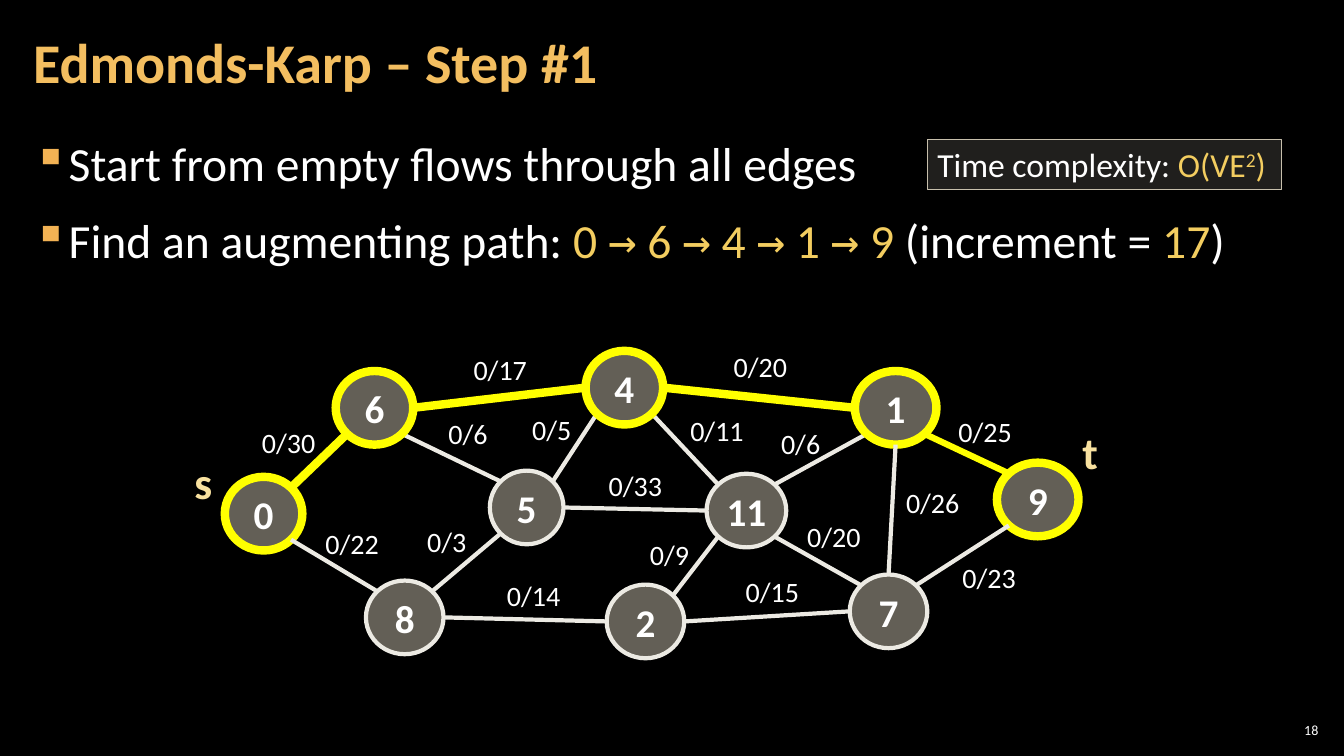
from math import cos, sin, radians
from lxml.etree import SubElement
from pptx import Presentation
from pptx.dml.color import RGBColor
from pptx.enum.shapes import MSO_CONNECTOR, MSO_SHAPE
from pptx.enum.text import MSO_ANCHOR, PP_ALIGN
from pptx.oxml.ns import qn
from pptx.util import Pt

HUES = {"back": "000000", "white": "FFFFFF", "title": "F3BE60", "bullet": "F2B254",
        "gold": "F3CD60", "pale": "F8E19F", "path": "FFFF00", "edge": "ECEAE3",
        "node": "C7BFAC", "box": "D9D5C7"}
FONT, MONO = "Calibri", "DejaVu Sans Mono"

TITLE = "Edmonds-Karp – Step #1"
PATH = ["0", "6", "4", "1", "9"]
ROUTE = [("0 ", "gold")]
for stop in PATH[1:]:
    tail = "" if stop == PATH[-1] else " "
    ROUTE += [("→", "gold", MONO), (f" {stop}{tail}", "gold")]
LINES = [
    [("Start from empty flows through all edges", "white")],
    [("Find an augmenting path: ", "white"), *ROUTE,
     (" (increment = ", "white"), ("17", "gold"), (")", "white")],
]
COST = [("Time complexity: ", "white"), ("O(VE", "gold"),
        ("2", "gold", FONT, 30000), (")", "gold")]

HIGH = 52.6
NODES = {
    "11": (504.7, 338.4, 56.9), "1": (610.6, 265, 58.3), "4": (418.3, 250.6, 55.4),
    "5": (349.9, 336.2, 52.6), "8": (261.4, 414.7, 55.4), "2": (433.4, 417.6, 55.4),
    "7": (607, 410.4, 55.4), "6": (239.8, 265, 55.4), "0": (160.6, 340.6, 55.4),
    "9": (712.1, 330.5, 58.3),
}
SITES = {"E": 0, "SE": 45, "S": 90, "SW": 135, "W": 180, "NW": 225, "N": 270, "NE": 315}
UNDER = [
    ("11", "NE", "1", "SW", "0/6", 550.8, 301),
    ("4", "E", "1", "W", "0/20", 517, 246.2),
    ("11", "NW", "4", "SE", "0/11", 486, 291.6),
    ("5", "E", "11", "W", "0/33", 427.7, 331.2),
    ("4", "SW", "5", "NE", "0/5", 373, 290.9),
    ("6", "E", "4", "W", "0/17", 331.2, 248.4),
    ("5", "NW", "6", "SE", "0/6", 313.2, 293.8),
    ("11", "SE", "7", "NW", "0/20", 569.5, 367.2),
    ("2", "W", "8", "E", "0/14", 355, 409.7),
    ("5", "SW", "8", "NE", "0/3", 298.1, 370.8),
    ("2", "NE", "11", "SW", "0/9", 457.2, 380.2),
    ("0", "NE", "6", "SW", "0/30", 180, 300.2),
]
OVER = [
    ("7", "N", "1", "S", "0/26", 640.1, 343.4),
    ("7", "W", "2", "E", "0/15", 525.6, 406.8),
    ("0", "SE", "8", "NW", "0/22", 225.4, 372.2),
    ("9", "NW", "1", "SE", "0/25", 677.5, 292.3),
    ("9", "SW", "7", "NE", "0/23", 680.4, 396.7),
]
ENDS = [("s", 131.8, 321.1, 27.4), ("t", 766.1, 299.5, 25.9)]

deck = Presentation()
deck.slide_width, deck.slide_height = Pt(960), Pt(540)
slide = deck.slides.add_slide(deck.slide_layouts[6])


def tint(name):
    return RGBColor.from_string(HUES[name])


def paint(fill, name, alpha=None):
    fill.solid()
    fill.fore_color.rgb = tint(name)
    if alpha:
        color = fill._xPr.find(qn("a:solidFill"))[0]
        SubElement(color, qn("a:alpha")).set("val", str(alpha * 1000))


def write(para, runs, size, bold=False):
    for text, hue, *more in runs:
        run = para.add_run()
        run.text = text
        run.font.size, run.font.bold = Pt(size), bold
        run.font.name = more[0] if more else FONT
        run.font.color.rgb = tint(hue)
        if len(more) > 1:
            run.font._element.set("baseline", str(more[1]))


def setup(shape, wrap, pad, anchor=MSO_ANCHOR.TOP):
    frame = shape.text_frame
    frame.word_wrap, frame.vertical_anchor = wrap, anchor
    frame.margin_left = frame.margin_right = Pt(pad[0])
    frame.margin_top = frame.margin_bottom = Pt(pad[1])
    return frame


def place(home, box, wrap=False, pad=(7.2, 3.6), anchor=MSO_ANCHOR.TOP):
    return setup(home.add_textbox(*map(Pt, box)), wrap, pad, anchor)


def solid(home, kind, box, fill, alpha, line, width):
    shape = home.add_shape(kind, *map(Pt, box))
    shape.shadow.inherit = False
    paint(shape.fill, fill, alpha)
    paint(shape.line.fill, line)
    shape.line.width = Pt(width)
    return shape


def site(name, side):
    left, top, wide = NODES[name]
    turn = radians(SITES[side])
    return Pt(left + wide / 2 * (1 + cos(turn))), Pt(top + HIGH / 2 * (1 + sin(turn)))


def join(home, edges):
    steps = [{a, b} for a, b in zip(PATH, PATH[1:])]
    for a, out, b, into, *rest in edges:
        link = home.add_connector(MSO_CONNECTOR.STRAIGHT, *site(a, out), *site(b, into))
        lit = {a, b} in steps
        paint(link.line.fill, "path" if lit else "edge")
        link.line.width = Pt(3 if not lit else 4.5 if "9" in (a, b) else 6)
        SubElement(link._element.spPr, qn("a:effectLst"))


paint(slide.background.fill, "back")

foot = place(slide.shapes, (910.8, 514.1, 33.8, 15.1), True, (2.9, 2.9), MSO_ANCHOR.MIDDLE)
foot.paragraphs[0].alignment = PP_ALIGN.RIGHT
write(foot.paragraphs[0], [("18", "white")], 10)

body = place(slide.shapes, (15.1, 90.7, 929.5, 438.5), True, (8.6, 2.9))
for spot, runs in enumerate(LINES):
    para = body.add_paragraph() if spot else body.paragraphs[0]
    para.line_spacing = 1.05
    para.space_before = para.space_after = Pt(6)
    props = para._p.get_or_add_pPr()
    props.set("marL", str(Pt(23.8)))
    props.set("indent", str(-Pt(23.8)))
    color = SubElement(props, qn("a:buClr"))
    SubElement(color, qn("a:srgbClr")).set("val", HUES["bullet"])
    SubElement(props, qn("a:buChar")).set("char", "▪")
    write(para, runs, 34)

head = place(slide.shapes, (15.1, 2.9, 753.8, 87.1), True, (8.6, 2.9), MSO_ANCHOR.MIDDLE)
head.paragraphs[0].line_spacing = 0.9
write(head.paragraphs[0], [(TITLE, "title")], 40, True)

graph = slide.shapes.add_group_shape().shapes
join(graph, UNDER)
for name, (left, top, wide) in NODES.items():
    lit = name in PATH
    disc = solid(graph, MSO_SHAPE.OVAL, (left, top, wide, HIGH), "node", 50,
                 "path" if lit else "edge", 6 if lit else 3)
    para = setup(disc, True, (2.9, 3.6), MSO_ANCHOR.MIDDLE).paragraphs[0]
    para.alignment = PP_ALIGN.CENTER
    write(para, [(name, "white")], 28, True)
join(graph, OVER)
for *ends, text, left, top in UNDER + OVER:
    wide = 53.3 if len(text) == 4 else 42.5
    label = place(graph, (left, top, wide, 31.7))
    write(label.paragraphs[0], [(text, "white")], 20)
for text, left, top, wide in ENDS:
    label = place(graph, (left, top, wide, 46.1))
    write(label.paragraphs[0], [(text, "pale")], 32, True)

note = solid(slide.shapes, MSO_SHAPE.RECTANGLE, (662.4, 99.4, 252.7, 36), "box", 15, "node", 0.75)
para = setup(note, False, (7.2, 3.6)).paragraphs[0]
para.alignment = PP_ALIGN.LEFT
write(para, COST, 24)

deck.save("out.pptx")
